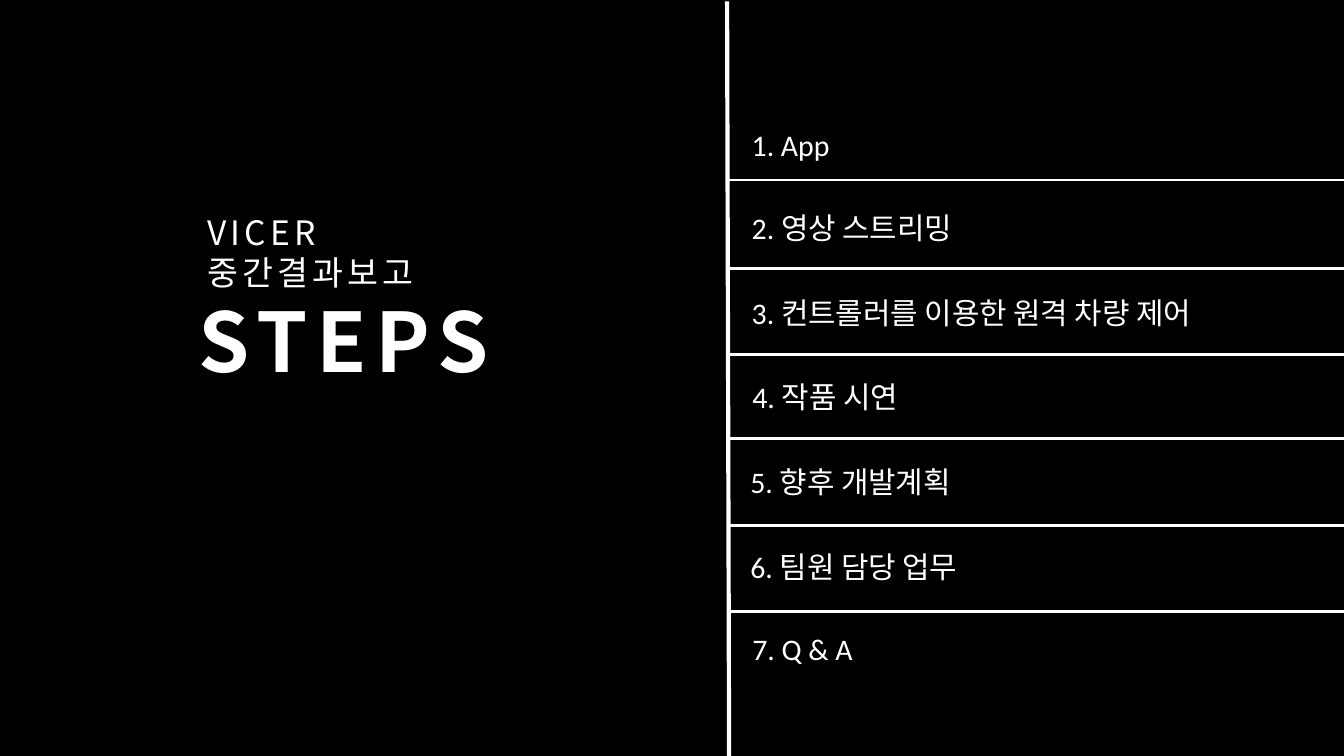
from lxml import etree
from pptx import Presentation
from pptx.dml.color import RGBColor
from pptx.enum.shapes import MSO_CONNECTOR, MSO_SHAPE
from pptx.enum.text import MSO_AUTO_SIZE
from pptx.oxml.ns import qn
from pptx.util import Pt

PX = 4572
PAGE_WIDTH, PAGE_HEIGHT = 2000, 1125
RECTANGLE = MSO_SHAPE.RECTANGLE
STRAIGHT = MSO_CONNECTOR.STRAIGHT
GROW = MSO_AUTO_SIZE.SHAPE_TO_FIT_TEXT
COLORS = {"backdrop": "000000", "ink": "FFFFFF"}
KOREAN = "Noto Sans CJK KR"
LATIN = "Calibri"
STEP_HEIGHT = 74
STEPS = [
    ("1. App", 1099, 179, 454),
    ("2. 영상 스트리밍", 1099, 302, 636),
    ("3. 컨트롤러를 이용한 원격 차량 제어", 1099, 429, 912),
    ("4. 작품 시연", 1100, 554, 454),
    ("5. 향후 개발계획", 1097, 680, 712),
    ("6. 팀원 담당 업무", 1097, 806, 454),
    ("7. Q & A", 1100, 928, 454),
]
RULES = [(1084, 268), (1082, 400), (1082, 528), (1084, 652), (1084, 782), (1082, 910)]
RULE_LENGTH = 926


def color(name):
    """Return a named colour."""
    return RGBColor.from_string(COLORS[name])


def add_backdrop(page):
    """Cover the page with a dark rectangle."""
    box = page.shapes.add_shape(RECTANGLE, 0, -2 * PX, PAGE_WIDTH * PX, 1194 * PX)
    box.shadow.inherit = False
    box.fill.solid()
    box.fill.fore_color.rgb = color("backdrop")
    box.line.fill.background()


def add_line(page, start, end, weight):
    """Draw a straight light line between two points."""
    points = [value * PX for value in (*start, *end)]
    line = page.shapes.add_connector(STRAIGHT, *points)
    line.line.color.rgb = color("ink")
    line.line.width = Pt(weight)
    etree.SubElement(line._element.spPr, qn("a:effectLst"))


def add_text(page, text, frame, size, font=LATIN, bold=False, spacing=0):
    """Place light text in a growing box, one paragraph per line."""
    box = page.shapes.add_textbox(*(value * PX for value in frame))
    box.text_frame.text = text
    box.text_frame.word_wrap = True
    box.text_frame.auto_size = GROW
    for para in box.text_frame.paragraphs:
        for span in para.runs:
            span.font.size = Pt(size)
            span.font.name = font
            span.font.bold = bold
            span.font.color.rgb = color("ink")
            properties = span.font._element
            if font == KOREAN:
                etree.SubElement(properties, qn("a:ea"), typeface=KOREAN)
            if spacing:
                properties.set("spc", str(spacing))


def main():
    """Build the agenda slide and save it."""
    deck = Presentation()
    deck.slide_width = PAGE_WIDTH * PX
    deck.slide_height = PAGE_HEIGHT * PX
    page = deck.slides.add_slide(deck.slide_layouts[6])
    add_backdrop(page)
    add_line(page, (1082, 2), (1085, 1126), 2.25)
    add_text(page, "STEPS", (276, 422, 542, 168), 44, KOREAN, True, 450)
    add_text(page, "VICER\n중간결과보고", (289, 305, 712, 142), 18, KOREAN, spacing=220)
    for text, left, top, width in STEPS:
        add_text(page, text, (left, top, width, STEP_HEIGHT), 16)
    for left, top in RULES:
        add_line(page, (left, top), (left + RULE_LENGTH, top), 1.5)
    deck.save("out.pptx")


if __name__ == "__main__":
    main()
